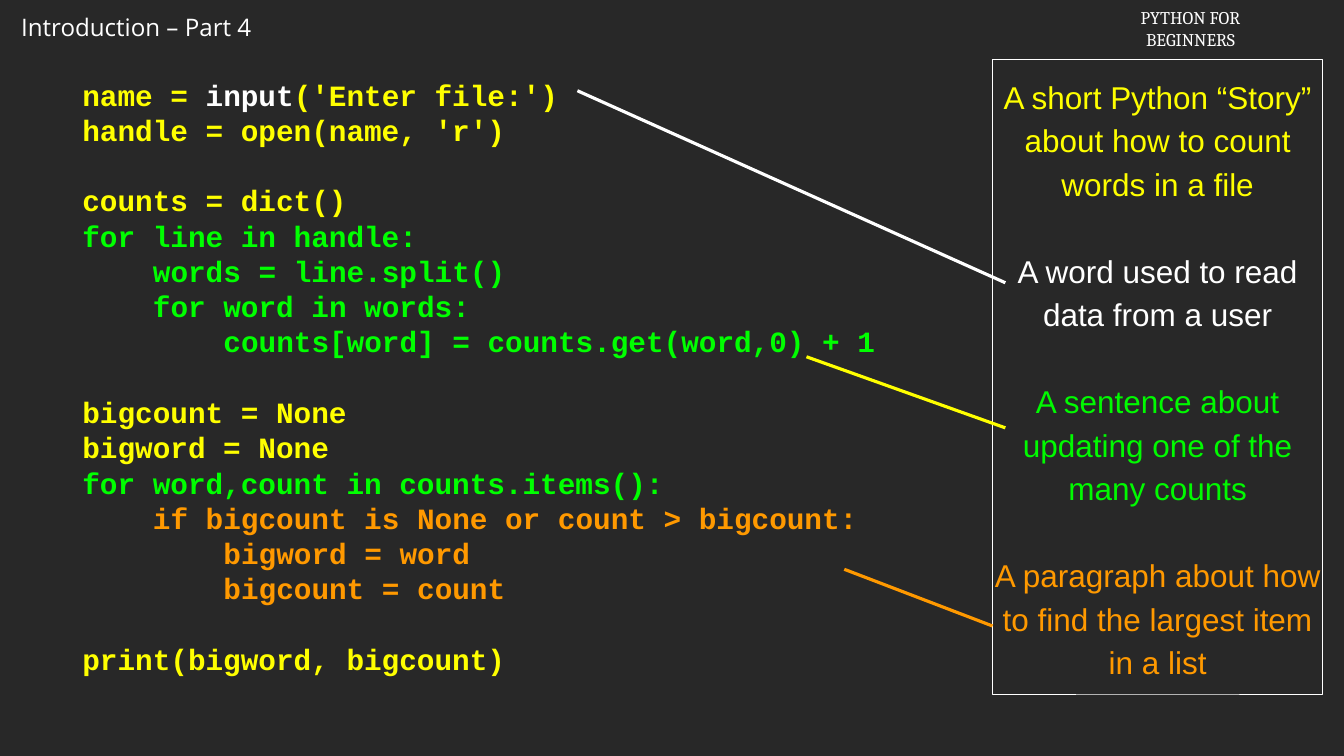
from lxml.etree import SubElement
from pptx import Presentation
from pptx.dml.color import RGBColor
from pptx.enum.shapes import MSO_CONNECTOR as CONN, MSO_SHAPE as SHAPE
from pptx.enum.text import MSO_ANCHOR as ANCHOR, PP_ALIGN as ALIGN
from pptx.oxml.ns import qn
from pptx.util import Pt

BACKGROUND = RGBColor(0x28, 0x28, 0x28)
WHITE = RGBColor(0xFF, 0xFF, 0xFF)
YELLOW = RGBColor(0xFF, 0xFF, 0x00)
GREEN = RGBColor(0x00, 0xFF, 0x00)
STORY_GREEN = RGBColor(0x00, 0xFA, 0x00)
ORANGE = RGBColor(0xFF, 0x99, 0x00)

CODE_SIZE, CODE_PITCH = 28, 33.6
INDENT = 4 * 0.6 * CODE_SIZE
STORY_SIZE, STORY_PITCH = 30, 41.4

CODE_BLOCKS = [
    [(0, [("name = ", YELLOW), ("input", WHITE), ("('Enter file:')", YELLOW)]),
     (0, [("handle = open(name, 'r')", YELLOW)])],
    [(0, [("counts = dict()", YELLOW)]),
     (0, [("for line in handle:", GREEN)]),
     (1, [("words = line.split()", GREEN)]),
     (1, [("for word in words:", GREEN)]),
     (2, [("counts[word] = counts.get(word,0) + 1", GREEN)])],
    [(0, [("bigcount = None", YELLOW)]),
     (0, [("bigword = None", YELLOW)]),
     (0, [("for word,count in counts.items():", GREEN)]),
     (1, [("if bigcount is None or count > bigcount:", ORANGE)]),
     (2, [("bigword = word", ORANGE)]),
     (2, [("bigcount = count", ORANGE)])],
    [(0, [("print(bigword, bigcount)", YELLOW)])],
]
STORY = [
    ("A short Python “Story” about how to count words in a file", YELLOW),
    ("A word used to read data from a user", WHITE),
    ("A sentence about updating one of the many counts", STORY_GREEN),
    ("A paragraph about how to find the largest item in a list", ORANGE),
]
POINTERS = [
    ((550, 86.4), (957.6, 269.3), WHITE),
    ((768.2, 339.8), (957.6, 407.5), YELLOW),
    ((804.2, 542.2), (945.4, 596.2), ORANGE),
]


def add_text(p, text, *, font, size, color, bold=False):
    """Append a formatted run to a paragraph."""
    r = p.add_run()
    r.text = text
    r.font.name, r.font.size, r.font.bold = font, Pt(size), bold
    r.font.color.rgb = color


def add_paragraph(tf, first, *, align=ALIGN.LEFT, pitch=None, gap=0, indent=0):
    """Return the frame's first or next paragraph, with its spacing set."""
    p = tf.paragraphs[0] if first else tf.add_paragraph()
    p.alignment = align
    p.space_before = Pt(gap)
    if pitch:
        p.line_spacing = Pt(pitch)
    if indent:
        pPr = p._p.get_or_add_pPr()
        pPr.set("marL", str(Pt(indent)))
        pPr.set("indent", "0")
    return p


def centre_frame(sp):
    """Return a shape's text frame, wrapped, centred vertically, no margins."""
    tf = sp.text_frame
    tf.word_wrap, tf.vertical_anchor = True, ANCHOR.MIDDLE
    tf.margin_left = tf.margin_right = tf.margin_top = tf.margin_bottom = 0
    return tf


def add_header(s, box, lines, font, size, align):
    """Place a header of unwrapped lines in the box."""
    tf = s.shapes.add_textbox(*map(Pt, box)).text_frame
    tf.word_wrap = False
    for i, line in enumerate(lines):
        p = add_paragraph(tf, i == 0, align=align)
        add_text(p, line, font=font, size=size, color=WHITE)


def add_code(s, box):
    """Place the coloured program listing in the box."""
    tf = centre_frame(s.shapes.add_textbox(*map(Pt, box)))
    for b, block in enumerate(CODE_BLOCKS):
        for i, (level, runs) in enumerate(block):
            p = add_paragraph(tf, b == i == 0, pitch=CODE_PITCH,
                              gap=CODE_PITCH if b and i == 0 else 0,
                              indent=level * INDENT)
            for text, color in runs:
                add_text(p, text, font="Courier New", size=CODE_SIZE,
                         color=color, bold=True)


def add_story(s, box):
    """Place the outlined panel of explanations in the box."""
    sp = s.shapes.add_shape(SHAPE.RECTANGLE, *map(Pt, box))
    sp.shadow.inherit = False
    sp.fill.background()
    sp.line.color.rgb, sp.line.width = WHITE, Pt(0.75)
    tf = centre_frame(sp)
    for i, (text, color) in enumerate(STORY):
        p = add_paragraph(tf, i == 0, align=ALIGN.CENTER, pitch=STORY_PITCH,
                          gap=STORY_PITCH if i else 0)
        add_text(p, text, font="Arial", size=STORY_SIZE, color=color)


def add_pointer(s, start, end, color):
    """Draw a line from a piece of code to its explanation."""
    c = s.shapes.add_connector(CONN.STRAIGHT, *map(Pt, start + end))
    c.line.color.rgb, c.line.width = color, Pt(3)
    SubElement(c._element.spPr, qn("a:effectLst"))


def main():
    """Build the slide and save it."""
    prs = Presentation()
    prs.slide_width, prs.slide_height = Pt(1280.16), Pt(720)
    s = prs.slides.add_slide(prs.slide_layouts[6])
    s.background.fill.solid()
    s.background.fill.fore_color.rgb = BACKGROUND
    add_header(s, (13, 8.6, 245.5, 35.3), ["Introduction – Part 4"],
               "Open Sans", 23, ALIGN.LEFT)
    add_header(s, (1071.4, 2.9, 125.3, 48.2), ["PYTHON FOR", "BEGINNERS"],
               "Cambria", 17, ALIGN.CENTER)
    add_code(s, (78.5, 61.2, 789.8, 594.7))
    add_story(s, (945.4, 56.2, 314.6, 604.8))
    for start, end, color in POINTERS:
        add_pointer(s, start, end, color)
    prs.save("out.pptx")


if __name__ == "__main__":
    main()
